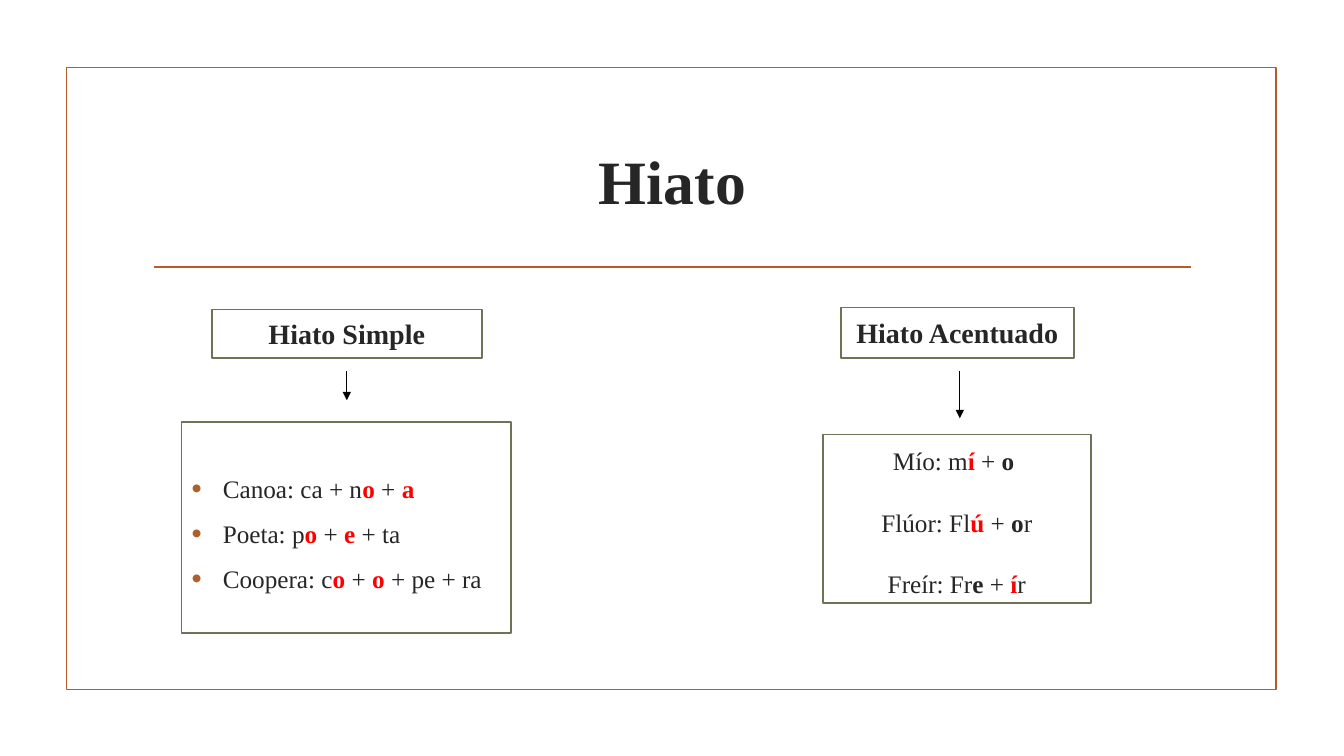
"""Builds the slide "Hiato" with its simple and accented kinds."""
from lxml import etree
from pptx import Presentation
from pptx import util as u
from pptx.dml.color import RGBColor
from pptx.enum import shapes, text
from pptx.oxml.ns import qn

SCALE = 9144


def px(*lengths):
    return [u.Emu(length * SCALE) for length in lengths]


def colour(value):
    return RGBColor.from_string(value)


def apply(target, values):
    for key, value in values.items():
        setattr(target, key, value)


def add_xml(parent, tag, **attributes):
    return etree.SubElement(parent, qn(tag), attributes)


class HiatoSlide:
    font = "Times New Roman"
    ink, accent, border, stress = "262626", "B15E28", "6E7355", "FF0000"
    emphasis = {"!": (stress, True), "^": (ink, True)}

    def __init__(self):
        self.deck = Presentation()
        self.deck.slide_width, self.deck.slide_height = px(1333, 750)
        self.slide = self.deck.slides.add_slide(self.deck.slide_layouts[1])

    def outline(self, part, line, fill=None):
        if fill:
            part.fill.solid()
            part.fill.fore_color.rgb = colour(fill)
        else:
            part.fill.background()
        part.line.color.rgb = colour(line)
        part.line.width = u.Pt(1.25)

    def box(self, at, line, fill=None):
        part = self.slide.shapes.add_shape(shapes.MSO_SHAPE.RECTANGLE, *px(*at))
        part.shadow.inherit = False
        self.outline(part, line, fill)
        return part

    def placeholder(self, index, at):
        part = self.slide.placeholders[index]
        apply(part, dict(zip(("left", "top", "width", "height"), px(*at))))
        self.slide.shapes._spTree.append(part._element)
        return part

    def line(self, start, end, line, width, arrow=False):
        part = self.slide.shapes.add_connector(
            shapes.MSO_CONNECTOR.STRAIGHT, *px(*start, *end))
        part.line.color.rgb = colour(line)
        part.line.width = u.Pt(width)
        if arrow:
            add_xml(part.line._get_or_add_ln(), "a:tailEnd", type="triangle")
        add_xml(part._element.spPr, "a:effectLst")

    def label(self, part, lines, size, bold=False, gap=0, inset=None, align="CENTER"):
        frame = part.text_frame
        middle = inset is None
        apply(frame, {
            "word_wrap": True,
            "auto_size": text.MSO_AUTO_SIZE.NONE,
            "vertical_anchor": text.MSO_ANCHOR.MIDDLE if middle else text.MSO_ANCHOR.TOP,
            "margin_top": px(inset or 0)[0],
            "margin_bottom": 0,
        })
        for number, content in enumerate(lines):
            paragraph = frame.add_paragraph() if number else frame.paragraphs[0]
            last = number == len(lines) - 1
            apply(paragraph, {
                "alignment": text.PP_ALIGN[align],
                "space_before": u.Pt(0),
                "space_after": u.Pt(0 if last else gap),
            })
            for piece in content.split("|"):
                ink, strong = self.emphasis.get(piece[0], (self.ink, bold))
                run = paragraph.add_run()
                run.text = piece.lstrip("!^")
                apply(run.font, {"name": self.font, "size": u.Pt(size), "bold": strong})
                run.font.color.rgb = colour(ink)

    def bullets(self, part):
        indent = str(31 * SCALE)
        for paragraph in part.text_frame.paragraphs:
            properties = paragraph._p.get_or_add_pPr()
            properties.set("marL", indent)
            properties.set("indent", "-" + indent)
            add_xml(add_xml(properties, "a:buClr"), "a:srgbClr", val=self.accent)
            add_xml(properties, "a:buSzPct", val="115000")
            add_xml(properties, "a:buFont", typeface="Arial")
            add_xml(properties, "a:buChar", char="•")


def main():
    page = HiatoSlide()
    page.box((66, 67, 1200, 617), page.accent)
    page.line((153, 265), (1181, 265), page.accent, 1.25)

    title = page.placeholder(0, (142, 107, 1050, 143))
    page.label(title, ["Hiato"], 44, bold=True)

    simple_examples = page.placeholder(1, (180, 419, 327, 209))
    page.outline(simple_examples, page.border, "FFFFFF")
    page.label(simple_examples, [
        "Canoa: ca + n|!o| + |!a",
        "Poeta: p|!o |+ |!e| + ta",
        "Coopera: c|!o| + |!o| + pe + ra",
    ], 18, gap=10.4, inset=51, align="LEFT")
    page.bullets(simple_examples)

    for heading, at in (("Hiato Simple", (210, 307, 268, 48)),
                        ("Hiato Acentuado", (834, 305, 231, 50))):
        page.label(page.box(at, page.border, "FFFFFF"), [heading], 20, bold=True)

    accented_examples = page.box((816, 431, 266, 167), page.border, "FFFFFF")
    page.label(accented_examples, [
        "Mío: m|!í| + |^o ",
        "Flúor: Fl|!ú| + |^o|r",
        "Freír: Fr|^e| + |!í|r",
    ], 18, gap=22.4, inset=11)

    for centre, tip in ((344, 397), (952, 415)):
        page.line((centre, 368), (centre, tip), "000000", 0.75, arrow=True)

    page.deck.save("out.pptx")


if __name__ == "__main__":
    main()
